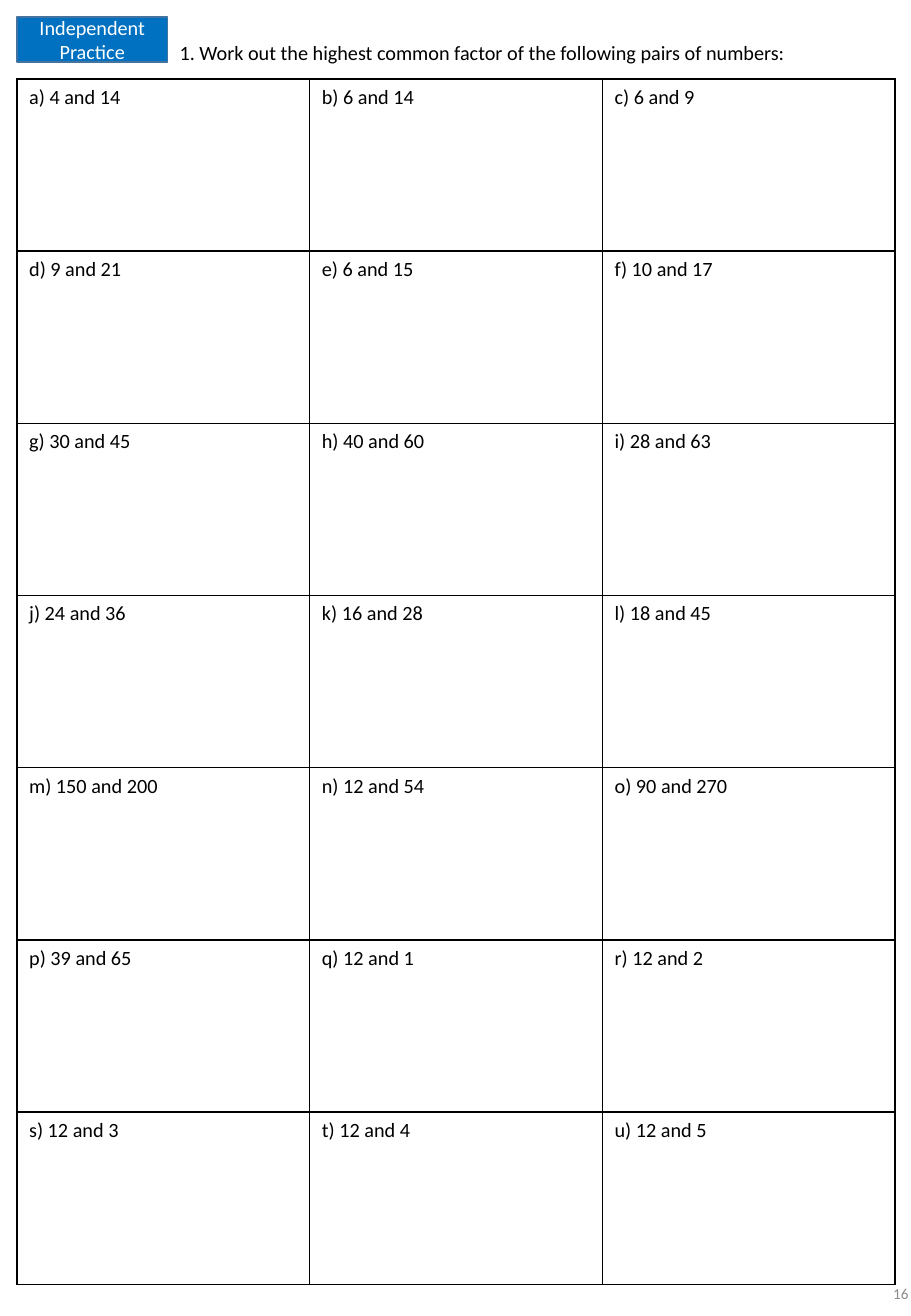
from dataclasses import dataclass

from lxml import etree
from pptx import Presentation
from pptx.dml.color import RGBColor
from pptx.enum.shapes import MSO_SHAPE
from pptx.enum.text import MSO_ANCHOR, PP_ALIGN
from pptx.oxml.ns import qn
from pptx.util import Inches, Length, Pt

RECTANGLE = MSO_SHAPE.RECTANGLE
MIDDLE, TOP = MSO_ANCHOR.MIDDLE, MSO_ANCHOR.TOP
LEFT, CENTER, RIGHT = PP_ALIGN.LEFT, PP_ALIGN.CENTER, PP_ALIGN.RIGHT

FONT = "Calibri"
COLOURS = {
    "ink": "000000",
    "label fill": "0070C0",
    "label line": "43739E",
    "label text": "FFFFFF",
    "page number": "8C8C8C",
}

# The page is a fine grid of 750 columns by 1083 rows.
PAGE_COLUMNS, PAGE_ROWS = 750, 1083
GRID_STEP = Inches(0.01)

QUESTIONS_PER_ROW = 3
NUMBER_PAIRS = [
    (4, 14), (6, 14), (6, 9),
    (9, 21), (6, 15), (10, 17),
    (30, 45), (40, 60), (28, 63),
    (24, 36), (16, 28), (18, 45),
    (150, 200), (12, 54), (90, 270),
    (39, 65), (12, 1), (12, 2),
    (12, 3), (12, 4), (12, 5),
]


@dataclass(frozen=True)
class Area:
    """A rectangle measured in grid columns and rows."""
    column: int
    row: int
    columns: int
    rows: int

    def lengths(self) -> tuple[Length, ...]:
        spans = (self.column, self.row, self.columns, self.rows)
        return tuple(Length(span * GRID_STEP) for span in spans)


@dataclass(frozen=True)
class Caption:
    text: str
    area: Area
    colour: str = "ink"
    size: float = 12
    align: int = LEFT
    anchor: int = TOP
    wrap: bool = True
    right_inset: float = 0.1


LABEL = Caption("Independent Practice", Area(14, 14, 124, 37),
                colour="label text", align=CENTER, anchor=MIDDLE)
CAPTIONS = [
    Caption("16", Area(589, 1046, 161, 58 - 21), colour="page number", size=9,
            align=RIGHT, anchor=MIDDLE, right_inset=0.02),
    Caption("1. Work out the highest common factor of the following pairs of numbers:",
            Area(138, 28, 531, 30), wrap=False),
]
PAGE_NUMBER_ROW = 1064
QUESTION_AREA = Area(14, 65, 723, 992)


def colour_of(name: str) -> RGBColor:
    return RGBColor.from_string(COLOURS[name])


def write(frame, text: str, *, colour: str = "ink", size: float = 12, align=LEFT) -> None:
    para = frame.paragraphs[0]
    para.alignment = align
    span = para.add_run()
    span.text = text
    span.font.name = FONT
    span.font.size = Pt(size)
    span.font.color.rgb = colour_of(colour)


def fill_frame(frame, caption: Caption) -> None:
    frame.word_wrap = caption.wrap
    frame.vertical_anchor = caption.anchor
    frame.margin_right = Inches(caption.right_inset)
    write(frame, caption.text, colour=caption.colour, size=caption.size, align=caption.align)


def draw_caption(page, caption: Caption) -> None:
    box = page.shapes.add_textbox(*caption.area.lengths())
    fill_frame(box.text_frame, caption)


def draw_label(page, caption: Caption) -> None:
    box = page.shapes.add_shape(RECTANGLE, *caption.area.lengths())
    box.shadow.inherit = False
    box.fill.solid()
    box.fill.fore_color.rgb = colour_of("label fill")
    box.line.color.rgb = colour_of("label line")
    box.line.width = Pt(1)
    fill_frame(box.text_frame, caption)


def outline_cell(cell) -> None:
    properties = cell._tc.get_or_add_tcPr()
    for side in ("a:lnL", "a:lnR", "a:lnT", "a:lnB"):
        line = etree.SubElement(properties, qn(side), w=str(Pt(1)))
        fill = etree.SubElement(line, qn("a:solidFill"))
        etree.SubElement(fill, qn("a:srgbClr"), val=COLOURS["ink"])


def draw_questions(page) -> None:
    row_count = len(NUMBER_PAIRS) // QUESTIONS_PER_ROW
    table = page.shapes.add_table(
        row_count, QUESTIONS_PER_ROW, *QUESTION_AREA.lengths()).table
    table.first_row = False
    table.horz_banding = False
    for index, (first, second) in enumerate(NUMBER_PAIRS):
        cell = table.cell(*divmod(index, QUESTIONS_PER_ROW))
        letter = chr(ord("a") + index)
        write(cell.text_frame, f"{letter}) {first} and {second}")
        outline_cell(cell)
        cell.fill.background()


def main() -> None:
    deck = Presentation()
    deck.slide_width = Length(PAGE_COLUMNS * GRID_STEP)
    deck.slide_height = Length(PAGE_ROWS * GRID_STEP)
    page = deck.slides.add_slide(deck.slide_layouts[6])
    for caption in CAPTIONS:
        draw_caption(page, caption)
    draw_questions(page)
    draw_label(page, LABEL)
    deck.save("out.pptx")


if __name__ == "__main__":
    main()
